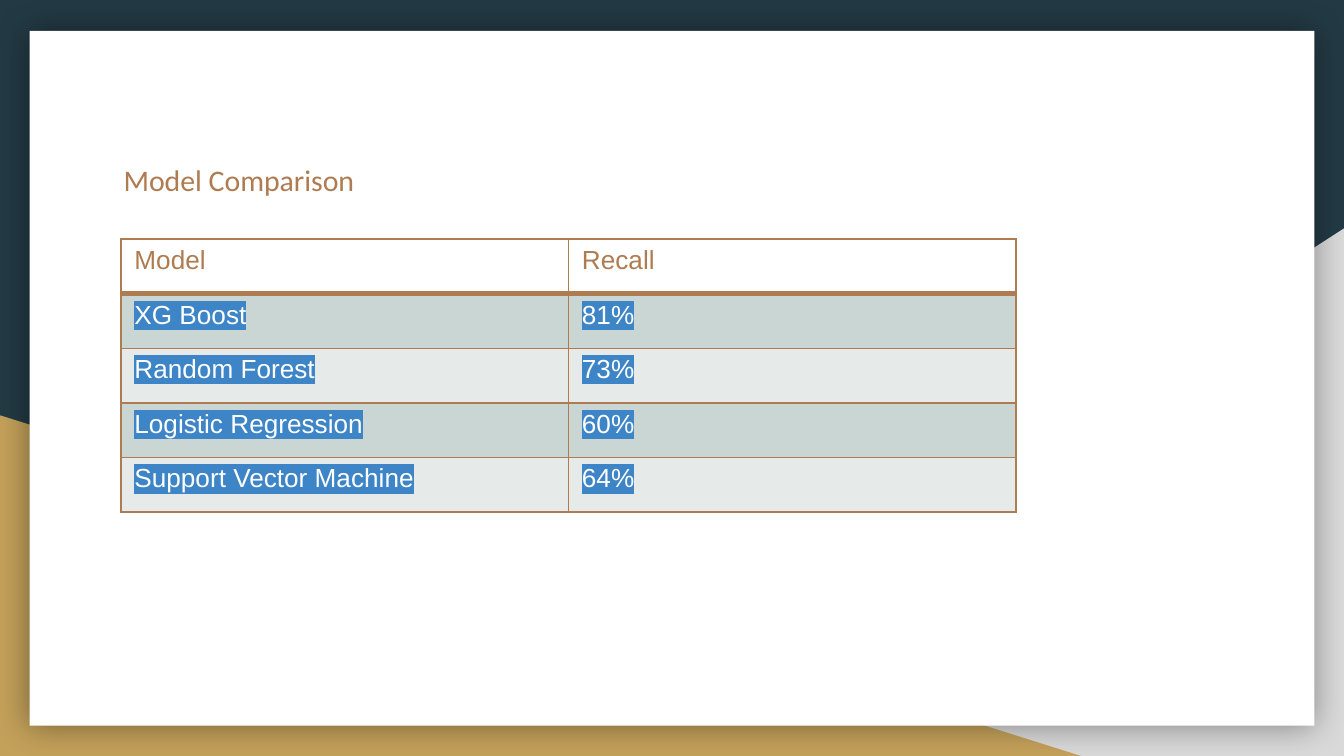
"""Build the model comparison slide with its recall table."""
from dataclasses import dataclass

from lxml.etree import SubElement
from pptx import Presentation
from pptx.dml.color import RGBColor
from pptx.enum.shapes import MSO_SHAPE as Preset
from pptx.enum.text import MSO_ANCHOR as Anchor, PP_ALIGN as Align
from pptx.oxml import parse_xml
from pptx.oxml.ns import nsdecls, qn
from pptx.util import Inches, Pt

COLORS = {
    "navy": "233A44",
    "gray": "D9D9D9",
    "gold": "C4A15A",
    "white": "FFFFFF",
    "copper": "AF7B51",
    "highlight": "3D85C6",
    "dark band": "CAD6D3",
    "light band": "E6EBEA",
    "shadow": "000000",
}
ROWS = [
    ("Model", "Recall"),
    ("XG Boost", "81%"),
    ("Random Forest", "73%"),
    ("Logistic Regression", "60%"),
    ("Support Vector Machine", "64%"),
]
SLIDE_WIDTH = 10
SLIDE_HEIGHT = SLIDE_WIDTH * 9 / 16
TABLE_WIDTH, TABLE_HEIGHT = 6.66, 2.03
THIN, THICK = 1, 3


@dataclass
class Panel:
    preset: Preset
    left: float
    top: float
    width: float
    height: float
    color: str
    flipped: bool = False
    shadowed: bool = False


PANELS = [
    Panel(Preset.RIGHT_TRIANGLE, 3.92, 1.7, 6.08, 3.93, "gray", flipped=True),
    Panel(Preset.RIGHT_TRIANGLE, 0, 3.09, 8.06, 2.54, "gold"),
    Panel(Preset.RECTANGLE, 0.22, 0.23, 9.56, 5.17, "white", shadowed=True),
]


def rgb(name: str) -> RGBColor:
    return RGBColor.from_string(COLORS[name])


def apply_format(target, values: dict) -> None:
    for name, value in values.items():
        setattr(target, name, value)


def format_font(font, typeface: str, size: float, color: str) -> None:
    apply_format(font, {"name": typeface, "size": Pt(size), "bold": False})
    font.color.rgb = rgb(color)


def add_panel(slide, panel: Panel) -> None:
    box = (panel.left, panel.top, panel.width, panel.height)
    shape = slide.shapes.add_shape(panel.preset, *map(Inches, box))
    shape.fill.solid()
    shape.fill.fore_color.rgb = rgb(panel.color)
    shape.line.fill.background()
    shape.shadow.inherit = False
    properties = shape._element.spPr
    if panel.flipped:
        properties.find(qn("a:xfrm")).set("flipH", "1")
    if panel.shadowed:
        effects = properties.find(qn("a:effectLst"))
        shadow = SubElement(effects, qn("a:outerShdw"), blurRad=str(Pt(18)), dist="0", dir="0")
        color = SubElement(shadow, qn("a:srgbClr"), val=COLORS["shadow"])
        SubElement(color, qn("a:alpha"), val="40000")


def add_title(slide, text: str) -> None:
    title = slide.shapes.title
    slide.shapes._spTree.append(title._element)
    apply_format(title, {
        "left": Inches(0.66), "top": Inches(1.1),
        "width": Inches(6.41), "height": Inches(0.43),
    })
    frame = title.text_frame
    frame.text = text
    apply_format(frame, {
        "margin_left": Inches(0.26), "margin_right": Inches(0.1),
        "margin_top": Inches(0.1), "margin_bottom": Inches(0.1),
        "vertical_anchor": Anchor.TOP, "word_wrap": True,
    })
    paragraph = frame.paragraphs[0]
    paragraph.alignment = Align.LEFT
    format_font(paragraph.runs[0].font, "Calibri", 16, "copper")


def set_borders(cell, widths: dict) -> None:
    properties = cell._tc.get_or_add_tcPr()
    for position, (side, width) in enumerate(widths.items()):
        border = parse_xml(
            f'<a:ln{side} {nsdecls("a")} w="{Pt(width)}"><a:solidFill>'
            f'<a:srgbClr val="{COLORS["copper"]}"/></a:solidFill></a:ln{side}>'
        )
        properties.insert(position, border)


def highlight(run) -> None:
    mark = parse_xml(
        f'<a:highlight {nsdecls("a")}><a:srgbClr val="{COLORS["highlight"]}"/></a:highlight>'
    )
    run._r.get_or_add_rPr().find(qn("a:solidFill")).addnext(mark)


def fill_cell(cell, text: str, row: int) -> None:
    is_header = row == 0
    band = "white" if is_header else "dark band" if row % 2 else "light band"
    cell.text = text
    cell.fill.solid()
    cell.fill.fore_color.rgb = rgb(band)
    apply_format(cell, {
        "margin_left": Inches(0.1), "margin_right": Inches(0.1),
        "margin_top": Inches(0.05), "margin_bottom": Inches(0.05),
    })
    run = cell.text_frame.paragraphs[0].runs[0]
    format_font(run.font, "Arial", 14, "copper" if is_header else "white")
    if not is_header:
        highlight(run)
    set_borders(cell, {
        "L": THIN, "R": THIN,
        "T": THICK if row == 1 else THIN,
        "B": THICK if is_header else THIN,
    })


def add_recall_table(slide, rows: list) -> None:
    box = (0.9, 1.78, TABLE_WIDTH, TABLE_HEIGHT)
    frame = slide.shapes.add_table(len(rows), len(rows[0]), *map(Inches, box))
    table = frame.table
    apply_format(table, {"first_row": False, "horz_banding": False})
    for row, texts in enumerate(rows):
        for column, text in enumerate(texts):
            fill_cell(table.cell(row, column), text, row)


def main() -> None:
    presentation = Presentation()
    apply_format(presentation, {
        "slide_width": Inches(SLIDE_WIDTH), "slide_height": Inches(SLIDE_HEIGHT),
    })
    slide = presentation.slides.add_slide(presentation.slide_layouts[5])
    slide.background.fill.solid()
    slide.background.fill.fore_color.rgb = rgb("navy")
    for panel in PANELS:
        add_panel(slide, panel)
    add_title(slide, "Model Comparison")
    add_recall_table(slide, ROWS)
    presentation.save("out.pptx")


if __name__ == "__main__":
    main()
